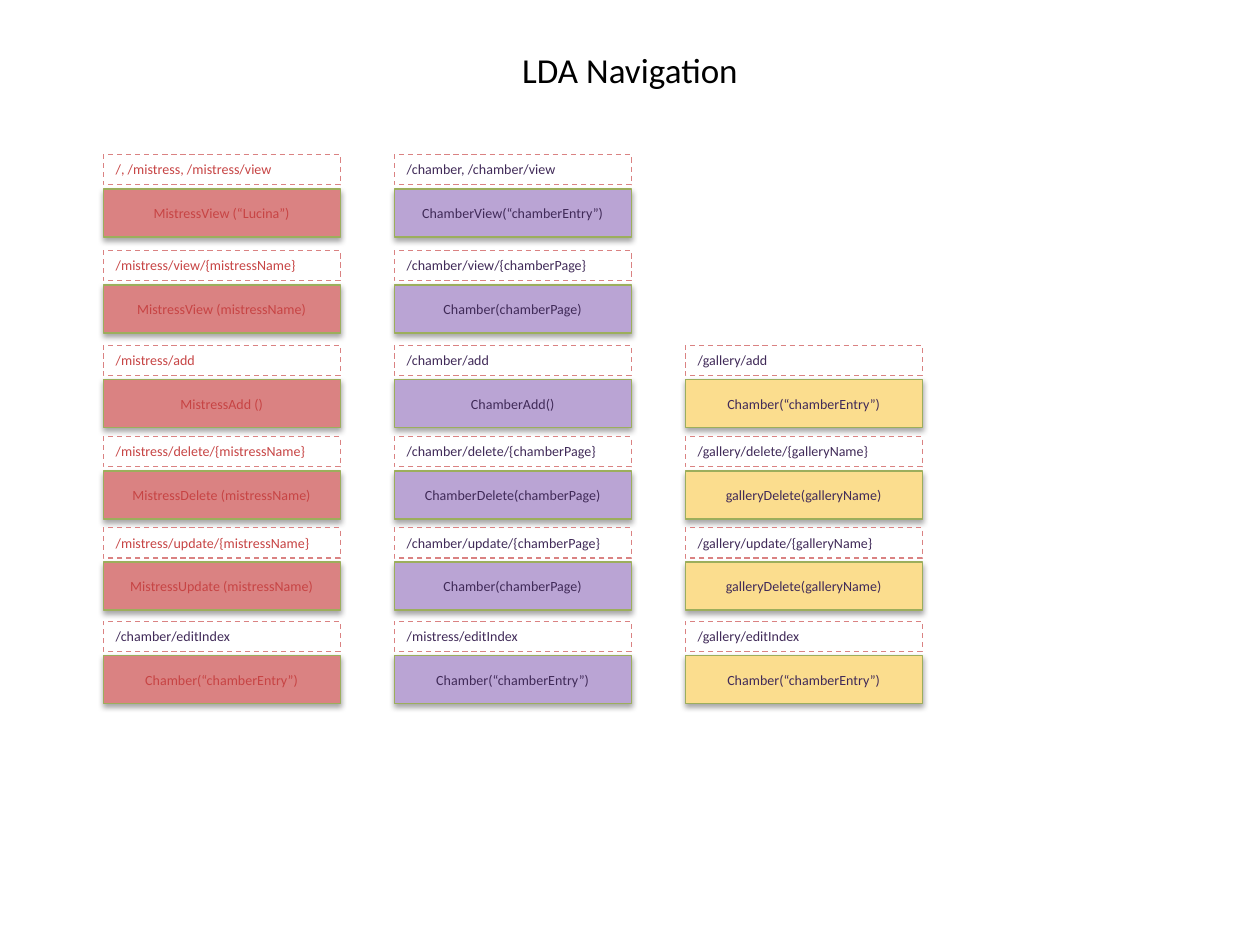
from dataclasses import dataclass

from lxml import etree
from pptx import Presentation
from pptx.dml.color import RGBColor
from pptx.enum.dml import MSO_LINE
from pptx.enum.shapes import MSO_SHAPE
from pptx.enum.text import MSO_ANCHOR, MSO_AUTO_SIZE, PP_ALIGN
from pptx.oxml.ns import qn
from pptx.util import Pt

ROUNDED = MSO_SHAPE.ROUNDED_RECTANGLE
DASH = MSO_LINE.DASH
TOP, MIDDLE = MSO_ANCHOR.TOP, MSO_ANCHOR.MIDDLE
LEFT, CENTER = PP_ALIGN.LEFT, PP_ALIGN.CENTER
FIT_SHAPE, NO_FIT = MSO_AUTO_SIZE.SHAPE_TO_FIT_TEXT, MSO_AUTO_SIZE.NONE
TITLE_ONLY = 5


@dataclass(frozen=True)
class Theme:
    font: str = "Calibri"
    title_size: float = 20
    label_size: float = 8
    line_width: float = 0.75
    black: str = "000000"
    red_text: str = "C74444"
    purple_text: str = "402A58"
    red: str = "DA8282"
    purple: str = "BAA4D4"
    yellow: str = "FBDD8E"
    green_line: str = "9CAE5C"


THEME = Theme()

COLUMN_LEFT, COLUMN_STEP = 59, 166.3
BOX_WIDTH, ROUTE_HEIGHT, HANDLER_HEIGHT = 135.4, 17.2, 27.4
HANDLER_OFFSET = 19.6
ROW_TOPS = (88.4, 143.2, 197.4, 249.6, 301.6, 355)

# Each column: handler fill, text colour, first row, (route, handler) pairs
COLUMNS = (
    (THEME.red, THEME.red_text, 0, (
        ("/, /mistress, /mistress/view", "MistressView (“Lucina”)"),
        ("/mistress/view/{mistressName}", "MistressView (mistressName)"),
        ("/mistress/add", "MistressAdd ()"),
        ("/mistress/delete/{mistressName}", "MistressDelete (mistressName)"),
        ("/mistress/update/{mistressName}", "MistressUpdate (mistressName)"),
        ("/chamber/editIndex", "Chamber(“chamberEntry”)"),
    )),
    (THEME.purple, THEME.purple_text, 0, (
        ("/chamber, /chamber/view", "ChamberView(“chamberEntry”)"),
        ("/chamber/view/{chamberPage}", "Chamber(chamberPage)"),
        ("/chamber/add", "ChamberAdd()"),
        ("/chamber/delete/{chamberPage}", "ChamberDelete(chamberPage)"),
        ("/chamber/update/{chamberPage}", "Chamber(chamberPage)"),
        ("/mistress/editIndex", "Chamber(“chamberEntry”)"),
    )),
    (THEME.yellow, THEME.purple_text, 2, (
        ("/gallery/add", "Chamber(“chamberEntry”)"),
        ("/gallery/delete/{galleryName}", "galleryDelete(galleryName)"),
        ("/gallery/update/{galleryName}", "galleryDelete(galleryName)"),
        ("/gallery/editIndex", "Chamber(“chamberEntry”)"),
    )),
)


def color(value):
    return RGBColor.from_string(value)


def set_text(shape, text, *, size, text_color, align=LEFT, anchor=TOP, fit=NO_FIT):
    frame = shape.text_frame
    frame.word_wrap = True
    frame.auto_size = fit
    frame.vertical_anchor = anchor
    paragraph = frame.paragraphs[0]
    paragraph.alignment = align
    run = paragraph.add_run()
    run.text = text
    run.font.name = THEME.font
    run.font.size = Pt(size)
    run.font.color.rgb = color(text_color)


def add_shadow(shape, blur=3.1, distance=1.8, opacity=35):
    """Give the shape a soft black shadow that falls straight down."""
    shape.shadow.inherit = False
    effects = shape._element.spPr.find(qn("a:effectLst"))
    shadow = etree.SubElement(
        effects, qn("a:outerShdw"), blurRad=str(Pt(blur)), dist=str(Pt(distance)),
        dir=str(90 * 60000), rotWithShape="0")
    shade = etree.SubElement(shadow, qn("a:srgbClr"), val=THEME.black)
    etree.SubElement(shade, qn("a:alpha"), val=str(opacity * 1000))


class SlideBuilder:
    def __init__(self, presentation, theme):
        self.theme = theme
        self.slide = presentation.slides.add_slide(presentation.slide_layouts[TITLE_ONLY])

    def title(self, text):
        title = self.slide.shapes.title
        title.left, title.top, title.width, title.height = Pt(36), Pt(21.6), Pt(648), Pt(36)
        set_text(title, text, size=self.theme.title_size, text_color=self.theme.black,
                 align=CENTER, anchor=MIDDLE)

    def outline(self, shape, line_color):
        shape.line.color.rgb = color(line_color)
        shape.line.width = Pt(self.theme.line_width)

    def handler(self, group, text, left, top, fill, text_color):
        box = group.shapes.add_shape(
            ROUNDED, Pt(left), Pt(top), Pt(BOX_WIDTH), Pt(HANDLER_HEIGHT))
        box.adjustments[0] = 0
        box.fill.solid()
        box.fill.fore_color.rgb = color(fill)
        self.outline(box, self.theme.green_line)
        add_shadow(box)
        set_text(box, text, size=self.theme.label_size, text_color=text_color,
                 align=CENTER, anchor=MIDDLE)

    def route(self, group, text, left, top, text_color):
        box = group.shapes.add_textbox(Pt(left), Pt(top), Pt(BOX_WIDTH), Pt(ROUTE_HEIGHT))
        self.outline(box, self.theme.red)
        box.line.dash_style = DASH
        set_text(box, text, size=self.theme.label_size, text_color=text_color, fit=FIT_SHAPE)

    def endpoint(self, route, handler, left, top, fill, text_color):
        """Group a route with the handler that answers it."""
        group = self.slide.shapes.add_group_shape()
        self.handler(group, handler, left, top + HANDLER_OFFSET, fill, text_color)
        # Index routes keep the purple text in every column
        route_color = self.theme.purple_text if route.endswith("/editIndex") else text_color
        self.route(group, route, left, top, route_color)


def main():
    presentation = Presentation()
    presentation.slide_width, presentation.slide_height = Pt(720), Pt(540)
    builder = SlideBuilder(presentation, THEME)
    builder.title("LDA Navigation")
    for column, (fill, text_color, first_row, endpoints) in enumerate(COLUMNS):
        left = COLUMN_LEFT + column * COLUMN_STEP
        for top, (route, handler) in zip(ROW_TOPS[first_row:], endpoints):
            builder.endpoint(route, handler, left, top, fill, text_color)
    presentation.save("out.pptx")


if __name__ == "__main__":
    main()
